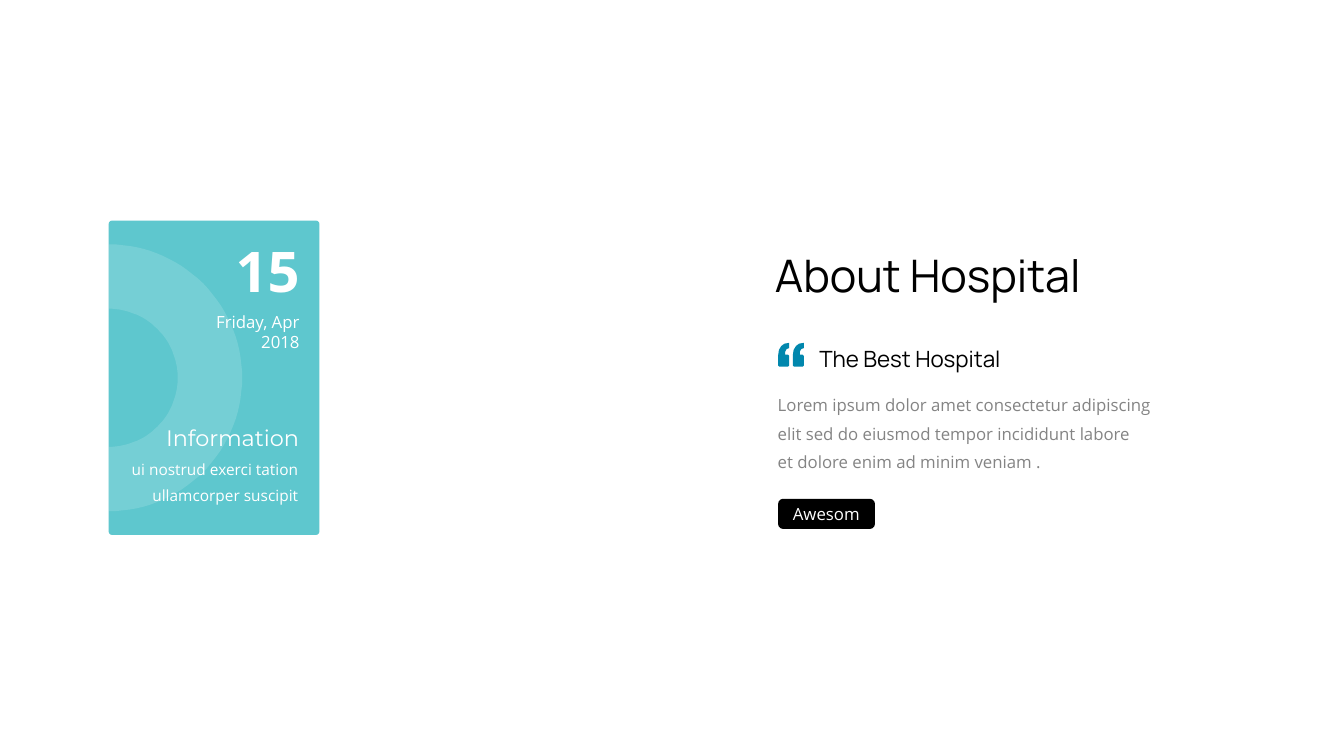
from dataclasses import dataclass
from math import cos, pi, sin

from lxml.etree import SubElement
from pptx import Presentation
from pptx.dml.color import RGBColor as Rgb
from pptx.enum.shapes import MSO_SHAPE as Kind
from pptx.enum.text import PP_ALIGN as Align
from pptx.oxml.ns import qn
from pptx.shapes.autoshape import Shape
from pptx.shapes.group import GroupShape as Group
from pptx.util import Cm, Pt

HUES = {
    "teal": "52C3CB",
    "white": "FFFFFF",
    "black": "000000",
    "blue": "0187AD",
    "grey": "848484",
}
UNIT = Cm(0.01)
Spot = tuple[float, float]
Area = tuple[float, float, float, float]


@dataclass(frozen=True)
class Panel:
    area: Area
    hue: str
    round: float
    alpha: int = 100


@dataclass(frozen=True)
class Label:
    area: Area
    lines: tuple[str, ...]
    face: str
    size: int
    hue: str
    align: Align = Align.LEFT
    space: float = 1.0
    wrap: bool = True
    bold: bool = False


CARD = Panel((2.74, 5.56, 5.31, 7.92), "teal", 0.016, 93)
PILL = Panel((19.61, 12.57, 2.44, 0.76), "black", 0.1667)

DATES = (
    Label((4.17, 7.72, 3.63, 0.76), ("Friday, Apr 2018",),
          "Open Sans", 12, "white", Align.RIGHT),
    Label((2.74, 11.28, 5.03, 1.5),
          ("ui nostrud exerci tation ullamcorper suscipit",),
          "Open Sans", 11, "white", Align.RIGHT, 1.4),
    Label((3.73, 10.44, 4.06, 1.02), ("Information",),
          "Montserrat", 16, "white", Align.RIGHT, 1.2),
    Label((5.25, 5.84, 2.55, 2.2), ("15",),
          "Open Sans", 40, "white", Align.RIGHT, bold=True),
)
ABOUT = (
    Label((19.28, 6.12, 9.78, 1.63), ("About Hospital",),
          "Manrope", 32, "black"),
    Label((20.4, 8.56, 6.25, 0.94), ("The Best Hospital",),
          "Manrope", 16, "black"),
    Label((19.35, 9.63, 11.33, 2.34),
          ("Lorem ipsum dolor amet consectetur adipiscing",
           "elit sed do eiusmod tempor incididunt labore",
           "et dolore enim ad minim veniam ."),
          "Open Sans", 12, "grey", space=1.4),
    Label((19.63, 12.57, 2.39, 0.76), ("Awesome",),
          "Open Sans", 12, "white", Align.CENTER, wrap=False),
)
QUOTE = (
    (28, 0), (28, 13), (21, 16), (18, 22), (18, 30), (25, 30), (28, 33),
    (28, 57), (25, 60), (3, 60), (0, 57), (0, 32), (2, 18), (8, 8), (16, 2),
)


def paint(shape: Shape, hue: str, alpha: int = 100) -> None:
    shape.shadow.inherit = False
    shape.fill.solid()
    shape.fill.fore_color.rgb = Rgb.from_string(HUES[hue])
    shape.line.fill.background()
    if alpha < 100:
        tint = shape.fill._xPr.find(".//" + qn("a:srgbClr"))
        SubElement(tint, qn("a:alpha"), val=str(alpha * 1000))


def add_panel(group: Group, panel: Panel) -> None:
    shape = group.shapes.add_shape(Kind.ROUNDED_RECTANGLE, *map(Cm, panel.area))
    shape.adjustments[0] = panel.round
    paint(shape, panel.hue, panel.alpha)


def add_form(group: Group, loops: list[list[Spot]], hue: str,
             alpha: int = 100) -> None:
    pen = group.shapes.build_freeform(*loops[0][0], scale=UNIT)
    pen.add_line_segments(loops[0][1:], close=True)
    for loop in loops[1:]:
        pen.move_to(*loop[0])
        pen.add_line_segments(loop[1:], close=True)
    paint(pen.convert_to_shape(), hue, alpha)


def arc(mid: Spot, reach: float, steps: int = 60) -> list[Spot]:
    turns = [pi * step / steps - pi / 2 for step in range(steps + 1)]
    return [(mid[0] + reach * cos(turn), mid[1] + reach * sin(turn))
            for turn in turns]


def add_label(group: Group, label: Label) -> None:
    frame = group.shapes.add_textbox(*map(Cm, label.area)).text_frame
    frame.word_wrap = label.wrap
    frame.text = "\n".join(label.lines)
    style = {"name": label.face, "size": Pt(label.size), "bold": label.bold}
    for line in frame.paragraphs:
        line.alignment = label.align
        line.line_spacing = label.space
        font = line.runs[0].font
        for key, value in style.items():
            setattr(font, key, value)
        font.color.rgb = Rgb.from_string(HUES[label.hue])


def main() -> None:
    deck = Presentation()
    deck.slide_width, deck.slide_height = Cm(33.87), Cm(19.05)
    slide = deck.slides.add_slide(deck.slide_layouts[6])

    card = slide.shapes.add_group_shape()
    add_panel(card, CARD)
    mid = (274, 952)
    ring = arc(mid, 336) + arc(mid, 174)[::-1]
    add_form(card, [ring], "white", 15)
    for label in DATES:
        add_label(card, label)

    about = slide.shapes.add_group_shape()
    marks = [[(1961 + shift + x, 864 + y) for x, y in QUOTE]
             for shift in (0, 37)]
    add_form(about, marks, "blue")
    add_panel(about, PILL)
    for label in ABOUT:
        add_label(about, label)

    deck.save("out.pptx")


if __name__ == "__main__":
    main()
